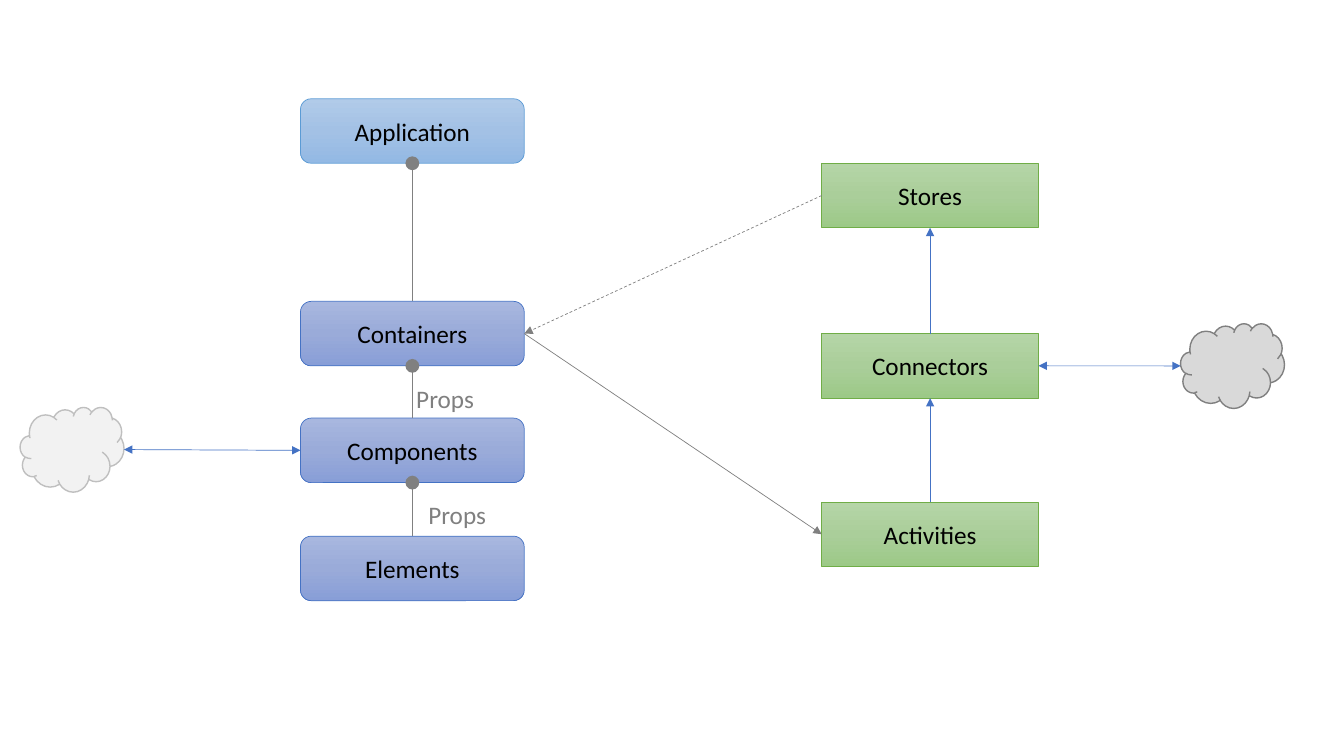
from collections import namedtuple
from copy import deepcopy

from lxml.etree import SubElement
from pptx import Presentation
from pptx.dml.color import RGBColor
from pptx.enum.dml import MSO_LINE
from pptx.enum.shapes import MSO_CONNECTOR, MSO_SHAPE
from pptx.enum.text import MSO_ANCHOR, PP_ALIGN
from pptx.oxml.ns import qn
from pptx.util import Inches, Pt

Box = namedtuple("Box", "left top width height")
TOP, LEFT, BOTTOM, RIGHT = range(4)
ROW = 0.64  # height of every labelled block, the unit of the vertical grid
GRAY, BLUE = "808080", "4472C4"
SKY = ("B1CBE9", "A3C1E5", "93B9E4", "5B9BD5")
INDIGO = ("A8B7DF", "9AABD9", "889ED7", BLUE)
GREEN = ("B5D5A7", "AACE9A", "9CC987", "70AD47")


def rgb(color):
    """Turn a hex string into a colour."""
    return RGBColor.from_string(color)


def write(shape, words, color, align):
    """Put one line of 18 pt Calibri into a shape."""
    frame = shape.text_frame
    frame.text = words
    frame.word_wrap = True
    paragraph = frame.paragraphs[0]
    paragraph.alignment = align
    font = paragraph.runs[0].font
    font.name, font.size = "Calibri", Pt(18)
    font.color.rgb = rgb(color)


def add_outlined(slide, kind, box, outline, weight):
    """Add a preset shape with an outline and no shadow."""
    shape = slide.shapes.add_shape(kind, *map(Inches, box))
    shape.shadow.inherit = False
    shape.line.color.rgb = rgb(outline)
    shape.line.width = Pt(weight)
    return shape


def add_block(slide, kind, box, label, palette):
    """Add a labelled block with a three-stop vertical gradient."""
    block = add_outlined(slide, kind, box, palette[3], 0.5)
    block.fill.gradient()
    block.fill.gradient_angle = 270
    first = block.fill.gradient_stops[0]
    stop_list = block.fill._fill._gradFill.find(qn("a:gsLst"))
    stop_list.insert(1, deepcopy(stop_list[0]))
    for stop, color, position in zip(block.fill.gradient_stops, palette, (0, 0.5, 1)):
        stop.color.rgb = rgb(color)
        stop.position = position
    block.text_frame.vertical_anchor = MSO_ANCHOR.MIDDLE
    write(block, label, "000000", PP_ALIGN.CENTER)
    return block


def add_cloud(slide, box, fill, outline):
    """Add an outside service as a plain cloud."""
    cloud = add_outlined(slide, MSO_SHAPE.CLOUD, box, outline, 1)
    cloud.fill.solid()
    cloud.fill.fore_color.rgb = rgb(fill)
    return cloud


def side_point(shape, side):
    """Return the middle of one side of a shape."""
    across, down = ((0.5, 0), (0, 0.5), (0.5, 1), (1, 0.5))[side]
    return (int(shape.left + across * shape.width),
            int(shape.top + down * shape.height))


def link(slide, start, end, color, head=None, tail="triangle", dashed=False):
    """Join two (shape, side) ends; clouds number their sites differently, so stay unglued."""
    line = slide.shapes.add_connector(
        MSO_CONNECTOR.STRAIGHT, *side_point(*start), *side_point(*end))
    for (shape, side), glue in ((start, line.begin_connect), (end, line.end_connect)):
        if shape.auto_shape_type != MSO_SHAPE.CLOUD:
            glue(shape, side)
    line.line.color.rgb = rgb(color)
    line.line.width = Pt(0.5)
    if dashed:
        line.line.dash_style = MSO_LINE.DASH
    outline = line.line._get_or_add_ln()
    for tag, ending in (("a:headEnd", head), ("a:tailEnd", tail)):
        if ending:
            size = "lg" if ending == "oval" else "med"
            SubElement(outline, qn(tag), type=ending, w=size, len=size)
    SubElement(line._element.spPr, qn("a:effectLst"))


def add_props(slide, left, top):
    """Add the caption beside a parent-child line."""
    caption = slide.shapes.add_textbox(*map(Inches, (left, top, 0.99, 0.4)))
    write(caption, "Props", GRAY, PP_ALIGN.LEFT)


def add_column(slide, box, kind, entries):
    """Stack blocks in a box, each at its own row, and return them by label."""
    return {label: add_block(slide, kind,
                             Box(box.left, box.top + row * ROW, box.width, ROW),
                             label, palette)
            for label, row, palette in entries}


def add_view_tree(slide, box):
    """Draw the view hierarchy, from application down to elements."""
    views = add_column(slide, box, MSO_SHAPE.ROUNDED_RECTANGLE, (
        ("Application", 0, SKY), ("Containers", 3.14, INDIGO),
        ("Components", 4.95, INDIGO), ("Elements", 6.78, INDIGO)))
    chain = list(views.values())
    for parent, child in zip(chain, chain[1:]):
        link(slide, (child, TOP), (parent, BOTTOM), GRAY, tail="oval")
    for indent, row in ((1.05, 4.33), (1.17, 6.14)):
        add_props(slide, box.left + indent, box.top + row * ROW)
    return views


def add_data_flow(slide, box):
    """Draw the data column, where activities feed connectors and stores."""
    flow = add_column(slide, box, MSO_SHAPE.RECTANGLE, (
        ("Stores", 0, GREEN), ("Connectors", 2.64, GREEN), ("Activities", 5.25, GREEN)))
    chain = list(flow.values())
    for upper, lower in zip(chain, chain[1:]):
        link(slide, (lower, TOP), (upper, BOTTOM), BLUE)
    return flow


def build():
    """Build the architecture slide and save it."""
    deck = Presentation()
    deck.slide_width, deck.slide_height = Inches(13.33), Inches(7.5)
    slide = deck.slides.add_slide(deck.slide_layouts[6])

    views = add_view_tree(slide, Box(2.98, 0.98, 2.22, 7.78 * ROW))
    flow = add_data_flow(slide, Box(8.15, 1.62, 2.15, 6.25 * ROW))
    view_service = add_cloud(slide, Box(0.2, 4.04, 1.03, 0.84), "F2F2F2", "BFBFBF")
    data_service = add_cloud(slide, Box(11.71, 3.21, 1.03, 0.84), "D9D9D9", GRAY)

    containers = (views["Containers"], RIGHT)
    link(slide, containers, (flow["Activities"], LEFT), GRAY)
    link(slide, (flow["Stores"], LEFT), containers, GRAY, dashed=True)
    link(slide, (view_service, RIGHT), (views["Components"], LEFT), BLUE, head="triangle")
    link(slide, (flow["Connectors"], RIGHT), (data_service, LEFT), BLUE, head="triangle")
    deck.save("out.pptx")


build()
